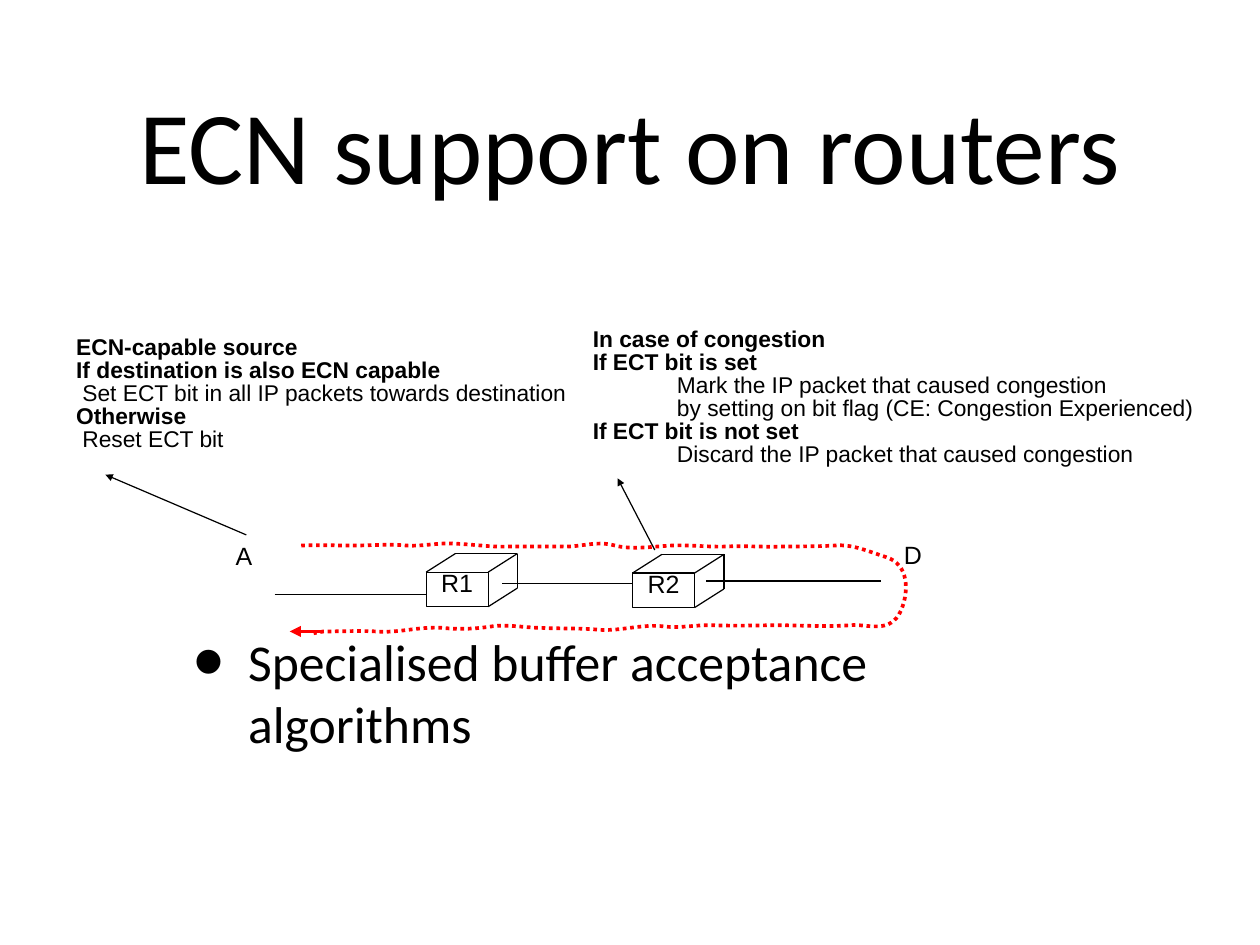
import dataclasses
import pptx
import pptx.util
import pptx.dml.color
import pptx.enum.dml
import pptx.enum.shapes
import pptx.enum.text
import pptx.oxml.ns
import lxml.etree

SCALE = 9144
ALIGN = pptx.enum.text.PP_ALIGN
ANCHOR = pptx.enum.text.MSO_ANCHOR
SHAPE = pptx.enum.shapes.MSO_SHAPE


@dataclasses.dataclass(frozen=True)
class Theme:
    """Colours, fonts and type sizes of the slide."""
    ink: str = "000000"
    paper: str = "FFFFFF"
    trip: str = "FF0000"
    head: str = "Calibri"
    sans: str = "Arial"
    title: float = 84
    body: float = 42
    label: float = 20.3
    note: float = 18.5
    thin: float = 1
    thick: float = 3
    tight: float = 0.84


THEME = Theme()

SOURCE = [
    ("ECN-capable source", True, 0),
    ("If destination is also ECN capable", True, 0),
    ("Set ECT bit in all IP packets towards destination", False, 7),
    ("Otherwise", True, 0),
    ("Reset ECT bit", False, 7),
]
ROUTER = [
    ("In case of congestion", True, 0),
    ("If ECT bit is set", True, 0),
    ("Mark the IP packet that caused congestion\n"
     "by setting on bit flag (CE: Congestion Experienced)", False, 95),
    ("If ECT bit is not set", True, 0),
    ("Discard the IP packet that caused congestion", False, 95),
]
START = (0, 3)
CURVES = [
    ((19, 2), (38, 3), (57, 3)), ((78, 3), (98, 1), (119, 3)),
    ((139, 4), (157, -1), (177, 1)), ((197, 2), (216, 5), (235, 4)),
    ((255, 4), (276, 4), (296, 4)), ((315, 5), (333, -3), (354, 3)),
    ((374, 8), (396, 4), (418, 3)), ((439, 2), (460, 5), (482, 4)),
    ((502, 3), (523, 5), (544, 4)), ((563, 4), (582, 4), (602, 3)),
    ((622, 1), (641, 10), (660, 16)), ((686, 24), (686, 55), (677, 76)),
    ((665, 104), (639, 91), (619, 93)), ((592, 95), (565, 93), (538, 93)),
    ((514, 93), (490, 94), (467, 93)), ((446, 92), (427, 97), (406, 94)),
    ((382, 92), (359, 100), (335, 98)), ((314, 96), (294, 97), (273, 96)),
    ((254, 96), (235, 92), (217, 94)), ((198, 97), (179, 98), (160, 96)),
    ((134, 94), (110, 102), (85, 100)), ((65, 99), (45, 100), (25, 100)),
]
FINISH = (14, 102)


def px(*nums):
    """Turn px into EMU."""
    return [round(num * SCALE) for num in nums]


def rgb(color):
    """Turn a hex string into a colour."""
    return pptx.dml.color.RGBColor.from_string(color)


def ink(line, color, width):
    """Set the colour and width of a line."""
    line.color.rgb = rgb(color)
    line.width = pptx.util.Pt(width)


def text(slide, box, lines, size, font=THEME.sans, align=ALIGN.LEFT,
         anchor=ANCHOR.TOP, inset=0, space=None, bullet=None, wrap=False):
    """Write paragraphs of (words, bold, indent) in a box."""
    frame = slide.shapes.add_textbox(*px(*box)).text_frame
    frame.word_wrap = wrap
    frame.vertical_anchor = anchor
    if not wrap:
        frame.auto_size = pptx.enum.text.MSO_AUTO_SIZE.SHAPE_TO_FIT_TEXT
    frame.margin_left = frame.margin_right = px(inset)[0]
    frame.margin_top = frame.margin_bottom = px(inset)[0]
    for num, (words, bold, indent) in enumerate(lines):
        para = frame.add_paragraph() if num else frame.paragraphs[0]
        props = para._p.get_or_add_pPr()
        props.set("marL", str(px(indent)[0]))
        if bullet:
            props.set("indent", str(-px(bullet)[0]))
            for tag, key, val in (("a:buSzPct", "val", "171000"),
                                  ("a:buFont", "typeface", THEME.sans),
                                  ("a:buChar", "char", "•")):
                lxml.etree.SubElement(props, pptx.oxml.ns.qn(tag)).set(key, val)
        para.alignment = align
        if space:
            para.line_spacing = space
        for row, part in enumerate(words.split("\n")):
            if row:
                para.add_line_break()
            run = para.add_run()
            run.text = part
            run.font.name = font
            run.font.size = pptx.util.Pt(size)
            run.font.bold = bold
            run.font.color.rgb = rgb(THEME.ink)


def link(slide, start, end, color=THEME.ink, width=THEME.thin, arrow=False):
    """Draw a straight line, with an arrowhead at its end if asked."""
    kind = pptx.enum.shapes.MSO_CONNECTOR.STRAIGHT
    wire = slide.shapes.add_connector(kind, *px(*start, *end))
    ink(wire.line, color, width)
    props = wire._element.spPr
    if arrow:
        tail = lxml.etree.SubElement(props.find(pptx.oxml.ns.qn("a:ln")),
                                     pptx.oxml.ns.qn("a:tailEnd"))
        tail.set("type", "triangle")
    lxml.etree.SubElement(props, pptx.oxml.ns.qn("a:effectLst"))


def router(slide, box, name):
    """Draw a router as an open cube with its name on the front."""
    left, top, wide, high = box
    deep, rise = 33, 21
    right, low = left + wide, top + high
    front = slide.shapes.add_shape(SHAPE.ROUNDED_RECTANGLE, *px(*box))
    front.adjustments[0] = 0
    front.shadow.inherit = False
    front.fill.background()
    ink(front.line, THEME.ink, THEME.thin)
    for x, y in ((left, top), (right, top), (right, low)):
        link(slide, (x, y), (x + deep, y - rise))
    back = (right + deep, top - rise)
    link(slide, (left + deep, top - rise), back)
    link(slide, back, (right + deep, low - rise))
    text(slide, (left + 17, top, 36, 29), [(name, False, 0)],
         THEME.label, align=ALIGN.CENTER, space=THEME.tight)


def bend(shape, left, top):
    """Turn the straight segments of the round trip into its curves."""
    lines = list(shape._element.iter(pptx.oxml.ns.qn("a:lnTo")))
    for line, curve in zip(lines, CURVES):
        line.tag = pptx.oxml.ns.qn("a:cubicBezTo")
        line.clear()
        for x, y in curve:
            spot = lxml.etree.SubElement(line, pptx.oxml.ns.qn("a:pt"))
            across, down = px(left + x, top + y)
            spot.set("x", str(across - shape.left))
            spot.set("y", str(down - shape.top))


def route(slide, box):
    """Draw the dotted round trip from source to destination and back."""
    left, top = box[:2]
    ends = [START, *(curve[-1] for curve in CURVES), FINISH]
    dots = [px(left + x, top + y) for x, y in ends]
    pen = slide.shapes.build_freeform(*dots[0])
    pen.add_line_segments(dots[1:], close=False)
    loop = pen.convert_to_shape()
    bend(loop, left, top)
    loop.shadow.inherit = False
    loop.fill.background()
    ink(loop.line, THEME.trip, THEME.thick)
    loop.line.dash_style = pptx.enum.dml.MSO_LINE.ROUND_DOT
    link(slide, (left + 26, top + 100), (left - 13, top + 100),
         THEME.trip, THEME.thick, True)


def network(slide, box):
    """Draw the hosts, routers, links and round trip."""
    left, top = box[:2]
    router(slide, (left + 215, top + 33, 70, 39), "R1")
    router(slide, (left + 448, top + 34, 70, 39), "R2")
    for start, end, y in ((44, 215, 58), (301, 448, 46), (531, 728, 43)):
        link(slide, (left + start, top + y), (left + end, top + y))
    plate = slide.shapes.add_shape(SHAPE.RECTANGLE,
                                   *px(left + 754, top + 1, 22, 35))
    plate.shadow.inherit = False
    plate.fill.solid()
    plate.fill.fore_color.rgb = rgb(THEME.paper)
    plate.line.fill.background()
    for name, x, y, wide in (("A", 0, 3, 19), ("D", 754, 2, 21)):
        text(slide, (left + x, top + y, wide, 29), [(name, False, 0)],
             THEME.label, space=THEME.tight)
    route(slide, (left + 74, top, 682, 102))
    link(slide, (left + 473, top + 8), (left + 431, top - 73), arrow=True)
    link(slide, (left + 12, top - 9), (left - 147, top - 77), arrow=True)


def note(slide, box, lines):
    """Write the rules that one node follows."""
    text(slide, box, lines, THEME.note, space=THEME.tight)


def main():
    """Build the slide and save it."""
    deck = pptx.Presentation()
    deck.slide_width, deck.slide_height = px(1422, 1067)
    slide = deck.slides.add_slide(deck.slide_layouts[6])
    text(slide, (139, 28, 1144, 267), [("ECN support on routers", False, 0)],
         THEME.title, THEME.head, ALIGN.CENTER, ANCHOR.MIDDLE, 6, wrap=True)
    text(slide, (182, 665, 1056, 233),
         [("Specialised buffer acceptance algorithms", False, 92)],
         THEME.body, THEME.head, anchor=ANCHOR.MIDDLE, inset=6, bullet=62,
         wrap=True)
    network(slide, (266, 613, 776, 102))
    note(slide, (669, 372, 683, 157), ROUTER)
    note(slide, (86, 381, 558, 131), SOURCE)
    deck.save("out.pptx")


if __name__ == "__main__":
    main()
